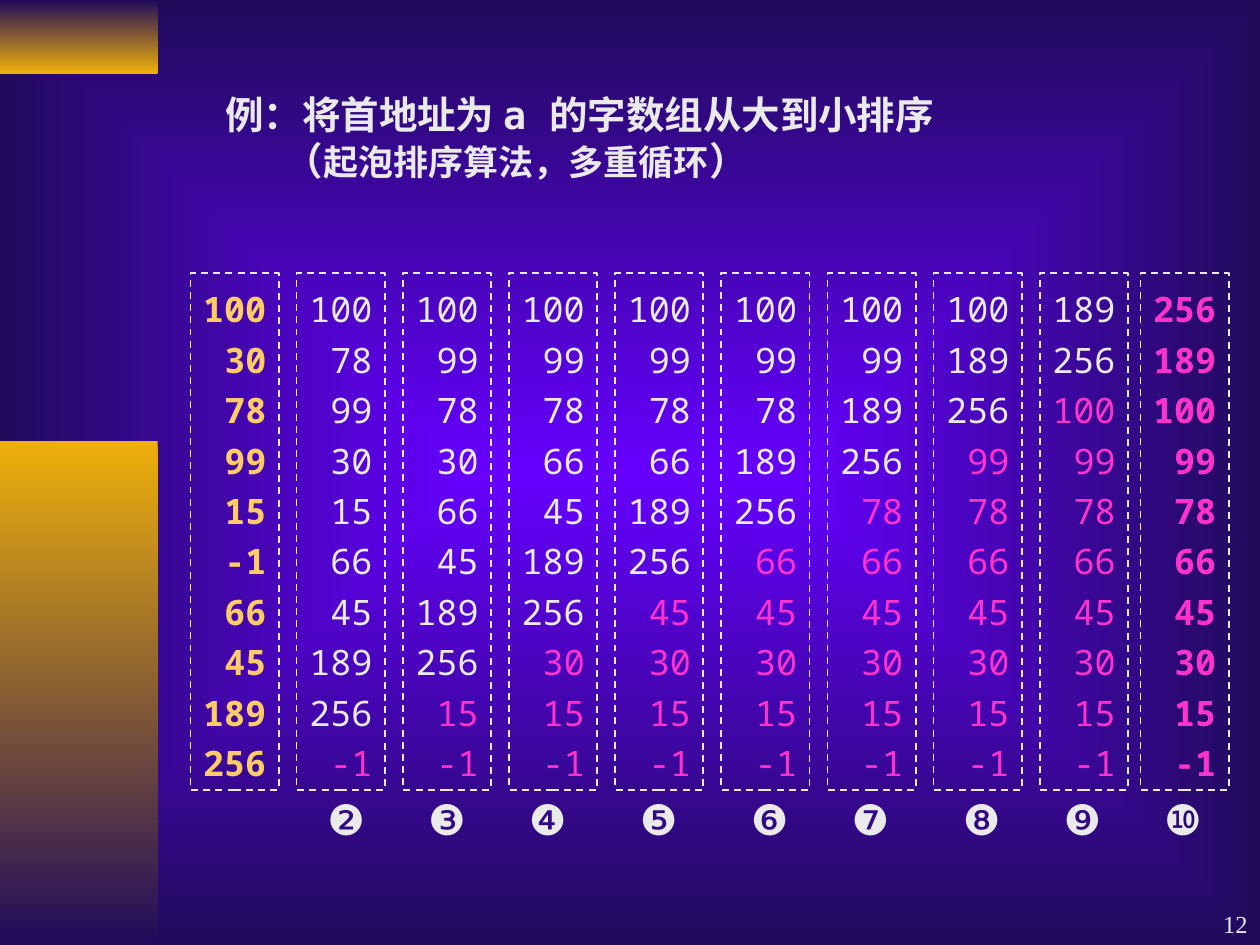
from dataclasses import dataclass
from itertools import accumulate
from typing import Any

from lxml.etree import SubElement
from pptx import Presentation
from pptx.dml.color import RGBColor
from pptx.enum.dml import MSO_LINE
from pptx.enum.shapes import MSO_SHAPE
from pptx.enum.text import MSO_ANCHOR, MSO_AUTO_SIZE, PP_ALIGN
from pptx.oxml.ns import qn
from pptx.util import Cm, Pt


@dataclass(frozen=True)
class Theme:
    ink: str = "EAEAEA"
    start: str = "FFCC66"
    sorted: str = "FF33CC"
    glow: str = "6600FF"
    night: str = "200B5B"
    gold: str = "EEB00B"
    serif: str = "Times New Roman"
    mono: str = "Noto Sans Mono"
    code: str = "DejaVu Sans Mono"
    sans: str = "Arial"
    heading: float = 22
    subheading: float = 20
    number: float = 20
    marker: float = 24
    footer: float = 14


@dataclass(frozen=True)
class Box:
    left: float
    top: float
    width: float
    height: float

    def place(self) -> tuple[Cm, Cm, Cm, Cm]:
        return Cm(self.left), Cm(self.top), Cm(self.width), Cm(self.height)


@dataclass(frozen=True)
class Column:
    left: float
    values: list[int]
    colors: list[str]
    bold: bool


THEME = Theme()
START = [100, 30, 78, 99, 15, -1, 66, 45, 189, 256]
COLUMN_LEFT, COLUMN_STEP, LAST_LEFT = 3.84, 2.14, 22.99
NEAR, FAR = 2.03, 2.24
MARKER_GAPS = [NEAR, NEAR, FAR, FAR, NEAR, FAR, NEAR, NEAR]


def set_all(target: Any, values: dict[str, Any]) -> None:
    for name, value in values.items():
        setattr(target, name, value)


def add_run(p: Any, text: str, font: str, size: float, color: str = THEME.ink,
            bold: bool = False) -> None:
    r = p.add_run()
    r.text = text
    set_all(r.font, {"name": font, "size": Pt(size), "bold": bold})
    r.font.color.rgb = RGBColor.from_string(color)


def set_gradient(fill: Any, first: str, last: str, angle: int = 270) -> None:
    fill.gradient()
    fill.gradient_angle = angle
    for stop, position, color in zip(fill.gradient_stops, (0, 1), (first, last)):
        stop.position = position
        stop.color.rgb = RGBColor.from_string(color)


def set_background(s: Any) -> None:
    """Let the glow spread from the middle of the slide to its edges."""
    set_gradient(s.background.fill, THEME.glow, THEME.night)
    grad = s.element.find(".//" + qn("a:gradFill"))
    grad.remove(grad.find(qn("a:lin")))
    centre = SubElement(grad, qn("a:path"), {"path": "rect"})
    SubElement(centre, qn("a:fillToRect"), dict.fromkeys("ltrb", "50000"))


def add_rect(s: Any, box: Box) -> Any:
    sp = s.shapes.add_shape(MSO_SHAPE.RECTANGLE, *box.place())
    sp.shadow.inherit = False
    return sp


def add_bar(s: Any, box: Box, top: str, bottom: str) -> None:
    sp = add_rect(s, box)
    set_gradient(sp.fill, top, bottom)
    sp.line.fill.background()


def set_title(s: Any) -> None:
    sp = s.shapes.title
    set_all(sp, dict(zip(("left", "top", "width", "height"),
                         Box(4.29, 1.7, 14.88, 2.13).place())))
    tf = sp.text_frame
    set_all(tf, {"word_wrap": True, "vertical_anchor": MSO_ANCHOR.TOP,
                 "auto_size": MSO_AUTO_SIZE.SHAPE_TO_FIT_TEXT})
    p = tf.paragraphs[0]
    for text, font in (("例：将首地址为 ", THEME.serif), ("a ", THEME.code),
                       ("的字数组从大到小排序", THEME.serif)):
        add_run(p, text, font, THEME.heading, bold=True)
    note = tf.add_paragraph()
    note._p.get_or_add_pPr().set("marL", str(Cm(1.2)))
    for text, size in (("（", THEME.heading), ("起泡排序算法，多重循环", THEME.subheading),
                       ("）", THEME.heading)):
        add_run(note, text, THEME.serif, size, bold=True)
    for p in tf.paragraphs:
        p.alignment = PP_ALIGN.LEFT


def bubble(values: list[int]) -> list[int]:
    """Run one pass, which carries the smallest value to the end."""
    row = list(values)
    for i in range(len(row) - 1):
        if row[i] < row[i + 1]:
            row[i], row[i + 1] = row[i + 1], row[i]
    return row


def sort_columns() -> list[Column]:
    count = len(START)
    passes = list(accumulate(range(count - 1), lambda row, _: bubble(row), initial=START))
    columns = []
    for i, values in enumerate(passes):
        first, last = i == 0, i == count - 1
        done = count if last else i
        colors = [THEME.start if first else THEME.ink] * (count - done) + [THEME.sorted] * done
        left = LAST_LEFT if last else COLUMN_LEFT + i * COLUMN_STEP
        columns.append(Column(left, values, colors, first or last))
    return columns


def add_column(s: Any, column: Column) -> None:
    sp = add_rect(s, Box(column.left, 5.51, 1.78, 10.41))
    sp.fill.background()
    sp.line.color.rgb = RGBColor.from_string(THEME.ink)
    set_all(sp.line, {"width": Pt(1), "dash_style": MSO_LINE.DASH})
    tf = sp.text_frame
    set_all(tf, {"word_wrap": False, "vertical_anchor": MSO_ANCHOR.TOP,
                 "auto_size": MSO_AUTO_SIZE.SHAPE_TO_FIT_TEXT})
    for i, (value, color) in enumerate(zip(column.values, column.colors)):
        p = tf.add_paragraph() if i else tf.paragraphs[0]
        set_all(p, {"alignment": PP_ALIGN.RIGHT, "line_spacing": 1.2})
        add_run(p, str(value), THEME.mono, THEME.number, color, column.bold)


def add_markers(s: Any) -> None:
    tf = s.shapes.add_textbox(*Box(6.35, 15.88, 18.42, 1.27).place()).text_frame
    tf.word_wrap = True
    p = tf.paragraphs[0]
    tabs = SubElement(p._p.get_or_add_pPr(), qn("a:tabLst"))
    for stop in accumulate(MARKER_GAPS):
        SubElement(tabs, qn("a:tab"), {"pos": str(Cm(stop)), "algn": "l"})
    add_run(p, "\t".join("❷❸❹❺❻❼❽❾❿"), THEME.sans, THEME.marker)


def add_page_number(s: Any) -> None:
    tf = s.shapes.add_textbox(*Box(20.12, 17.78, 5.28, 1.27).place()).text_frame
    set_all(tf, {"word_wrap": True, "vertical_anchor": MSO_ANCHOR.BOTTOM})
    p = tf.paragraphs[0]
    p.alignment = PP_ALIGN.RIGHT
    add_run(p, "12", THEME.serif, THEME.footer)


def main() -> None:
    prs = Presentation()
    set_all(prs, {"slide_width": Cm(25.4), "slide_height": Cm(19.05)})
    s = prs.slides.add_slide(prs.slide_layouts[5])
    set_background(s)
    add_bar(s, Box(0, 0, 3.18, 1.48), THEME.night, THEME.gold)
    add_bar(s, Box(0, 8.89, 3.18, 10.16), THEME.gold, THEME.night)
    set_title(s)
    for column in sort_columns():
        add_column(s, column)
    add_markers(s)
    add_page_number(s)
    prs.save("out.pptx")


if __name__ == "__main__":
    main()
